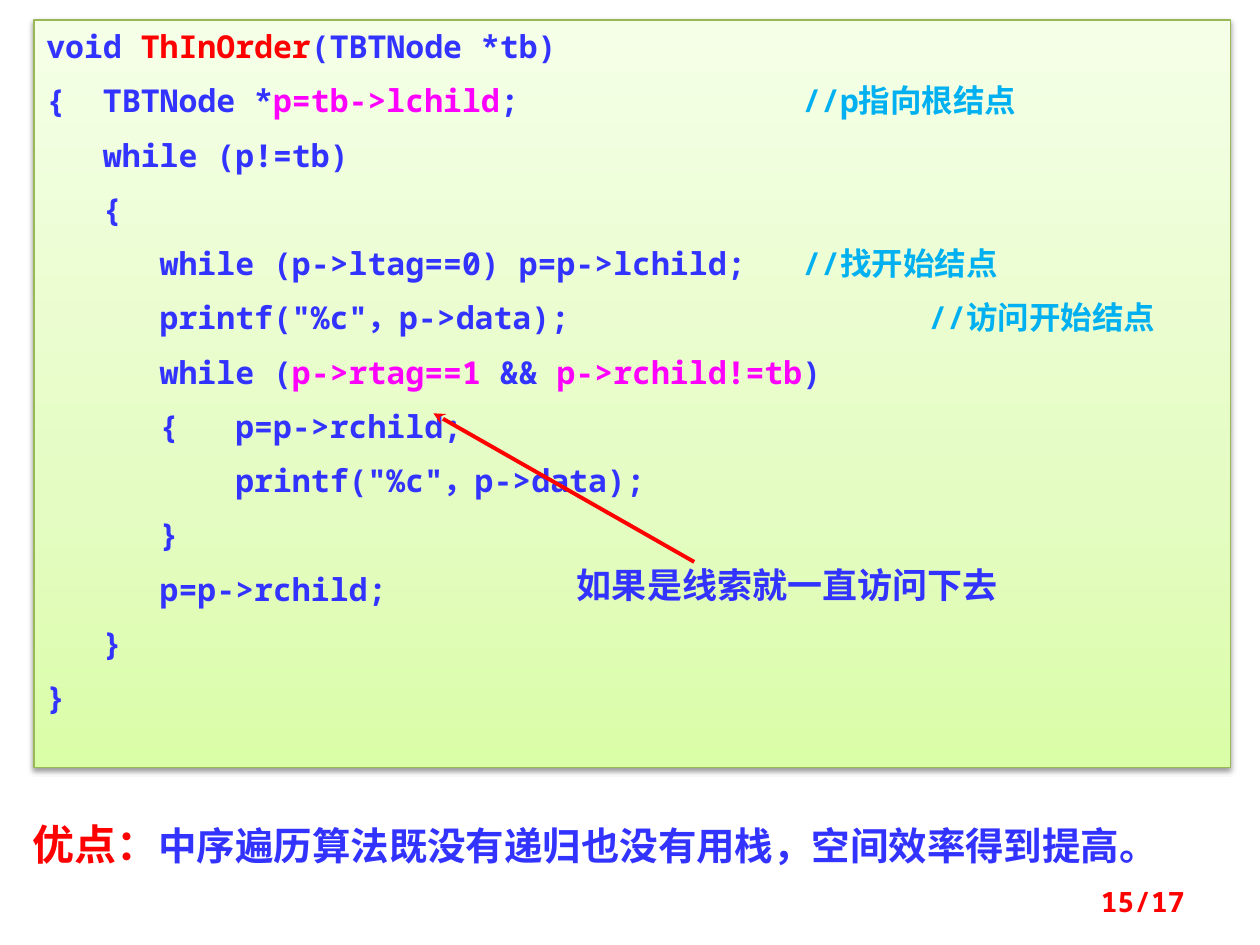
from dataclasses import dataclass

from pptx import Presentation
from pptx.dml.color import RGBColor
from pptx.enum.shapes import MSO_CONNECTOR as Connector, MSO_SHAPE as Shape
from pptx.enum.text import MSO_ANCHOR as Anchor, PP_ALIGN as Align
from pptx.oxml import parse_xml
from pptx.oxml.ns import nsdecls, qn
from pptx.util import Pt


@dataclass(frozen=True)
class Theme:
    """Colours, fonts and type sizes of the slide."""
    blue: str = "3333FF"
    red: str = "FF0000"
    magenta: str = "FF00FF"
    cyan: str = "00B0F0"
    border: str = "98B955"
    gradient: tuple = ((0, "DAFDA7"), (35, "E4FCC2"), (100, "F5FFE7"))
    mono: str = "Noto Sans Mono"
    serif: str = "Times New Roman"
    cjk: str = "Noto Sans CJK SC"
    code_size: float = 18
    note_size: float = 20
    label_size: float = 24
    summary_size: float = 22
    page_size: float = 16


THEME = Theme()
CHARACTER = 10.8  # advance of one code character
INDENT_STOPS = [CHARACTER * count for count in (3, 6, 10)]
COMMENT_STOP = 432
FAR_COMMENT_STOP = 504

BLUE, RED, MAGENTA, CYAN = THEME.blue, THEME.red, THEME.magenta, THEME.cyan
CODE = [
    [("void ", BLUE), ("ThInOrder", RED), ("(TBTNode *tb)", BLUE)],
    [("{\tTBTNode *", BLUE), ("p=tb->lchild", MAGENTA), (";\t", BLUE),
     ("//p指向根结点", CYAN)],
    [("\twhile (p!=tb)", BLUE)],
    [("\t{", BLUE)],
    [("\t\twhile (p->ltag==0) p=p->lchild;\t", BLUE), ("//找开始结点", CYAN)],
    [('\t\tprintf("%c"，p->data);\t', BLUE), ("//访问开始结点", CYAN)],
    [("\t\twhile (", BLUE), ("p->rtag==1", MAGENTA), (" && ", BLUE),
     ("p->rchild!=tb", MAGENTA), (")", BLUE)],
    [("\t\t{\tp=p->rchild;", BLUE)],
    [('\t\t\tprintf("%c"，p->data);', BLUE)],
    [("\t\t}", BLUE)],
    [("\t\tp=p->rchild;", BLUE)],
    [("\t}", BLUE)],
    [("}", BLUE)],
]
FAR_COMMENT_LINE = 5


def add_run(paragraph, text, color, size, font):
    """Append a bold run with its Latin and East Asian fonts."""
    run = paragraph.add_run()
    run.text = text
    run.font.size = Pt(size)
    run.font.bold = True
    run.font.name = font
    run.font.color.rgb = RGBColor.from_string(color)
    run.font._element.find(qn("a:latin")).addnext(
        parse_xml(f'<a:ea {nsdecls("a")} typeface="{THEME.cjk}"/>'))


def set_tab_stops(paragraph, stops):
    """Give a paragraph left tab stops at the given lengths."""
    tabs = "".join(f'<a:tab pos="{Pt(stop)}" algn="l"/>' for stop in stops)
    paragraph._p.get_or_add_pPr().append(
        parse_xml(f'<a:tabLst {nsdecls("a")}>{tabs}</a:tabLst>'))


def style_panel(panel):
    """Apply the gradient, the border and the soft shadow."""
    panel.fill.gradient()
    panel.fill.gradient_angle = 90
    stops = "".join(
        f'<a:gs pos="{position * 1000}"><a:srgbClr val="{color}"/></a:gs>'
        for position, color in THEME.gradient)
    properties = panel._element.spPr
    old_stops = properties.find(qn("a:gradFill")).find(qn("a:gsLst"))
    old_stops.getparent().replace(
        old_stops, parse_xml(f'<a:gsLst {nsdecls("a")}>{stops}</a:gsLst>'))
    panel.line.color.rgb = RGBColor.from_string(THEME.border)
    panel.line.width = Pt(0.75)
    properties.append(parse_xml(
        f'<a:effectLst {nsdecls("a")}><a:outerShdw blurRad="{Pt(3.1)}" '
        f'dist="{Pt(1.6)}" dir="5400000" rotWithShape="0">'
        '<a:srgbClr val="000000"><a:alpha val="38000"/></a:srgbClr>'
        '</a:outerShdw></a:effectLst>'))


def add_code_panel(slide, left, top, width, height):
    """Add the shaded panel with the code listing."""
    panel = slide.shapes.add_shape(
        Shape.RECTANGLE, Pt(left), Pt(top), Pt(width), Pt(height))
    style_panel(panel)
    frame = panel.text_frame
    frame.word_wrap = True
    frame.vertical_anchor = Anchor.TOP
    for number, line in enumerate(CODE):
        paragraph = frame.add_paragraph() if number else frame.paragraphs[0]
        paragraph.alignment = Align.JUSTIFY if number < len(CODE) - 1 else Align.LEFT
        paragraph.line_spacing = Pt(22)
        paragraph.space_before = Pt(9 if number else 0)
        comment = FAR_COMMENT_STOP if number == FAR_COMMENT_LINE else COMMENT_STOP
        set_tab_stops(paragraph, INDENT_STOPS + [comment])
        for text, color in line:
            add_run(paragraph, text, color, THEME.code_size, THEME.mono)


def add_text(slide, left, top, width, height, runs,
             align=Align.LEFT, anchor=Anchor.TOP):
    """Add a one-paragraph text box from (text, color, size, font) runs."""
    box = slide.shapes.add_textbox(Pt(left), Pt(top), Pt(width), Pt(height))
    frame = box.text_frame
    frame.word_wrap = True
    frame.vertical_anchor = anchor
    paragraph = frame.paragraphs[0]
    paragraph.alignment = align
    for run in runs:
        add_run(paragraph, *run)


def add_arrow(slide, start, end, color, width):
    """Add a straight line with a stealth head at its end."""
    arrow = slide.shapes.add_connector(
        Connector.STRAIGHT, *(Pt(length) for length in (*start, *end)))
    arrow.line.color.rgb = RGBColor.from_string(color)
    arrow.line.width = Pt(width)
    arrow.line._get_or_add_ln().append(
        parse_xml(f'<a:tailEnd {nsdecls("a")} type="stealth"/>'))
    arrow._element.spPr.append(parse_xml(f'<a:effectLst {nsdecls("a")}/>'))


def main():
    """Build the slide and save it."""
    presentation = Presentation()
    presentation.slide_width, presentation.slide_height = Pt(720), Pt(540)
    slide = presentation.slides.add_slide(presentation.slide_layouts[6])
    add_code_panel(slide, 19.4, 11.5, 684, 427)
    add_arrow(slide, (396.7, 321.1), (247.7, 236.2), RED, 2.25)
    add_text(slide, 322.6, 318.2, 266.4, 31,
             [("如果是线索就一直访问下去", BLUE, THEME.note_size, THEME.serif)])
    add_text(slide, 11.5, 464.4, 692, 36, [
        ("优点：", RED, THEME.label_size, THEME.cjk),
        ("中序遍历算法既没有递归也没有用栈，空间效率得到提高。",
         BLUE, THEME.summary_size, THEME.cjk)])
    add_text(slide, 516.2, 500.4, 167.8, 28.8,
             [("15/17", RED, THEME.page_size, THEME.mono)],
             Align.RIGHT, Anchor.MIDDLE)
    presentation.save("out.pptx")


main()
